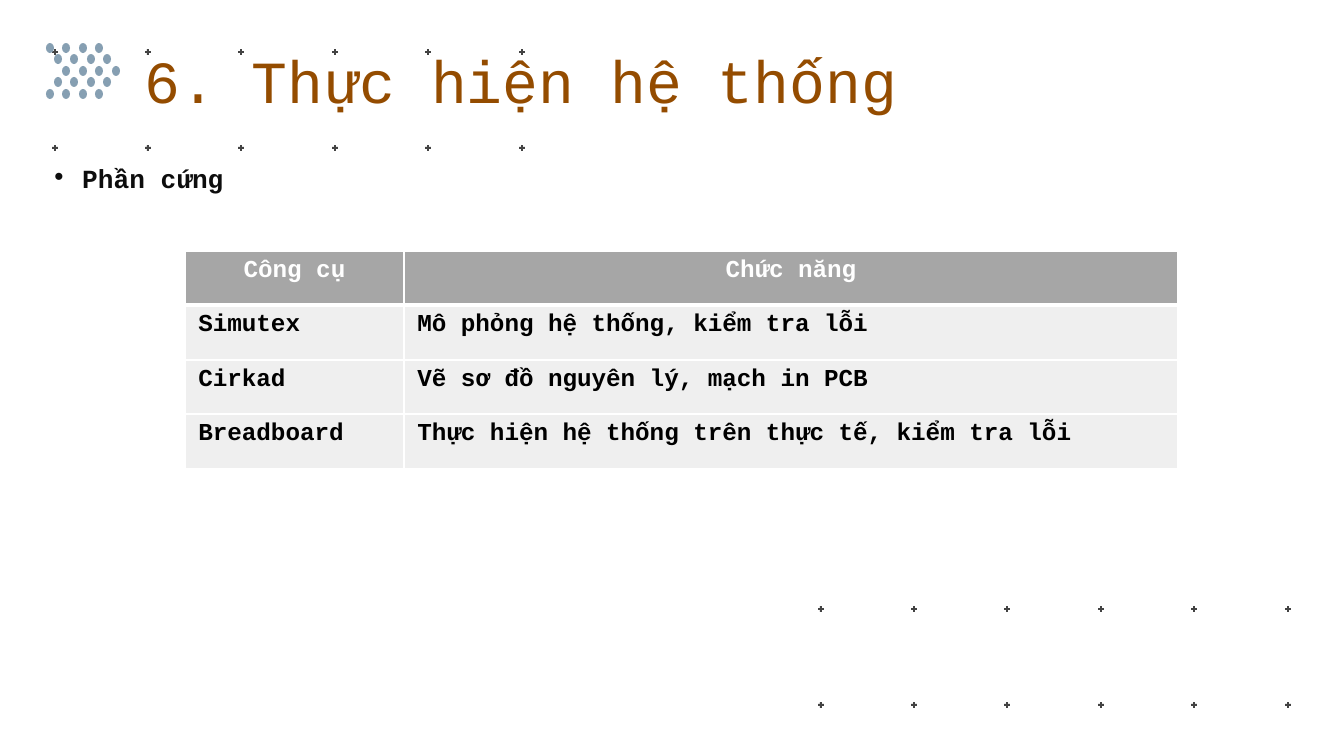
from lxml import etree
from pptx import Presentation
from pptx.dml.color import RGBColor
from pptx.enum.shapes import MSO_SHAPE
from pptx.enum.text import MSO_ANCHOR, MSO_AUTO_SIZE, PP_ALIGN
from pptx.oxml.ns import qn
from pptx.util import Pt

EMU_PER_PX = 914400 / 134.4
FONT = "Courier New"
LEFT, CENTER, RIGHT = PP_ALIGN.LEFT, PP_ALIGN.CENTER, PP_ALIGN.RIGHT
TOP = MSO_ANCHOR.TOP
NO_AUTOFIT = MSO_AUTO_SIZE.NONE
PLUS, OVAL = MSO_SHAPE.MATH_PLUS, MSO_SHAPE.OVAL

WHITE = RGBColor(0xFF, 0xFF, 0xFF)
BLACK = RGBColor(0x00, 0x00, 0x00)
INK = RGBColor(0x0D, 0x0D, 0x0D)
BROWN = RGBColor(0x94, 0x4C, 0x00)
PLUS_GRAY = RGBColor(0x43, 0x43, 0x43)
DOT_BLUE = RGBColor(0x86, 0x9F, 0xB2)
HEADER_GRAY = RGBColor(0xA6, 0xA6, 0xA6)
ROW_GRAY = RGBColor(0xEF, 0xEF, 0xEF)

TOOLS = [
    ("Công cụ", "Chức năng"),
    ("Simutex", "Mô phỏng hệ thống, kiểm tra lỗi"),
    ("Cirkad", "Vẽ sơ đồ nguyên lý, mạch in PCB"),
    ("Breadboard", "Thực hiện hệ thống trên thực tế, kiểm tra lỗi"),
]


def px(length):
    return round(length * EMU_PER_PX)


def write(frame, text, size, color, bold=False, align=LEFT, bullet_indent=0):
    para = frame.paragraphs[0]
    para.alignment = align
    if bullet_indent:
        properties = para._p.get_or_add_pPr()
        properties.set("marL", str(px(bullet_indent)))
        properties.set("indent", str(-px(bullet_indent)))
        etree.SubElement(properties, qn("a:buFont"), typeface=FONT)
        etree.SubElement(properties, qn("a:buChar"), char="•")
    span = para.add_run()
    span.text = text
    span.font.name = FONT
    span.font.size = Pt(size)
    span.font.bold = bold
    span.font.color.rgb = color


def set_border(cell, side, color, width):
    properties = cell._tc.get_or_add_tcPr()
    line = etree.Element(qn(f"a:{side}"), w=str(Pt(width)))
    fill = etree.SubElement(line, qn("a:solidFill"))
    etree.SubElement(fill, qn("a:srgbClr"), val=str(color))
    properties.insert(("lnL", "lnR", "lnT", "lnB").index(side), line)


class SlideBuilder:
    def __init__(self, page):
        self.page = page

    def title(self, text, left, top, width, height):
        box = self.page.shapes.title
        self.page.shapes.element.append(box.element)
        box.left, box.top = px(left), px(top)
        box.width, box.height = px(width), px(height)
        frame = box.text_frame
        frame.auto_size = NO_AUTOFIT
        frame.vertical_anchor = TOP
        frame.margin_left = frame.margin_right = px(13)
        frame.margin_top, frame.margin_bottom = px(25), 0
        write(frame, text, 32, BROWN, align=RIGHT)

    def bullet(self, text, left, top, width, height):
        box = self.page.shapes.add_textbox(px(left), px(top), px(width), px(height))
        box.text_frame.word_wrap = True
        write(box.text_frame, text, 14, INK, bold=True, bullet_indent=31)

    def mark(self, kind, left, top, width, height, color):
        shape = self.page.shapes.add_shape(kind, px(left), px(top), px(width), px(height))
        shape.shadow.inherit = False
        shape.fill.solid()
        shape.fill.fore_color.rgb = color
        shape.line.fill.background()

    def plus_grid(self, left, top):
        for row in range(2):
            for column in range(6):
                self.mark(PLUS, left + column * 467 // 5, top + row * 96, 8, 8, PLUS_GRAY)

    def dot_arrow(self, left, top):
        for row, shift in enumerate((0, 1, 2, 1, 0)):
            for column in range(4):
                x = left + (shift + 2 * column) * 33 // 4
                self.mark(OVAL, x, top + row * 23 // 2, 8, 10, DOT_BLUE)

    def table(self, rows, left, top, widths, heights):
        frame = self.page.shapes.add_table(
            len(rows), len(widths), px(left), px(top), px(sum(widths)), px(sum(heights))
        )
        table = frame.table
        for column, width in zip(table.columns, widths):
            column.width = px(width)
        for index, (row, height) in enumerate(zip(rows, heights)):
            table.rows[index].height = px(height)
            header = index == 0
            for column, text in enumerate(row):
                cell = table.cell(index, column)
                cell.fill.solid()
                cell.fill.fore_color.rgb = HEADER_GRAY if header else ROW_GRAY
                write(cell.text_frame, text, 13, WHITE if header else BLACK,
                      bold=True, align=CENTER if header else LEFT)
                for side in ("lnL", "lnR", "lnT", "lnB"):
                    thick = (header and side == "lnB") or (index == 1 and side == "lnT")
                    set_border(cell, side, WHITE, 3 if thick else 1)


def main():
    deck = Presentation()
    deck.slide_width, deck.slide_height = px(1344), px(756)
    builder = SlideBuilder(deck.slides.add_slide(deck.slide_layouts[5]))
    builder.plus_grid(51, 48)
    builder.plus_grid(817, 605)
    builder.bullet("Phần cứng", 38, 156, 644, 46)
    builder.title("6. Thực hiện hệ thống", -3, 19, 914, 94)
    builder.dot_arrow(46, 43)
    builder.table(TOOLS, 185, 251, (219, 774), (54, 55, 54, 55))
    deck.save("out.pptx")


if __name__ == "__main__":
    main()
